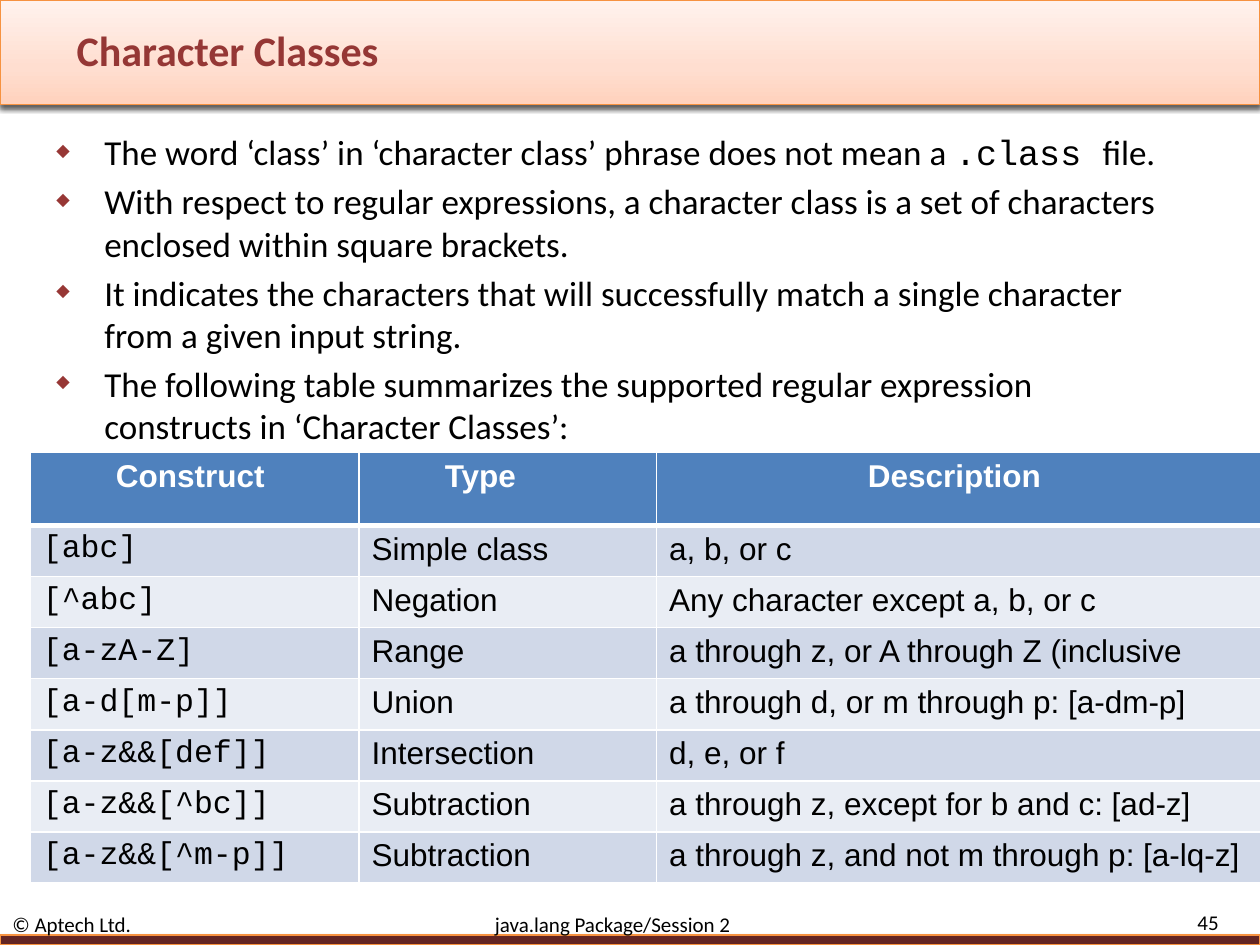
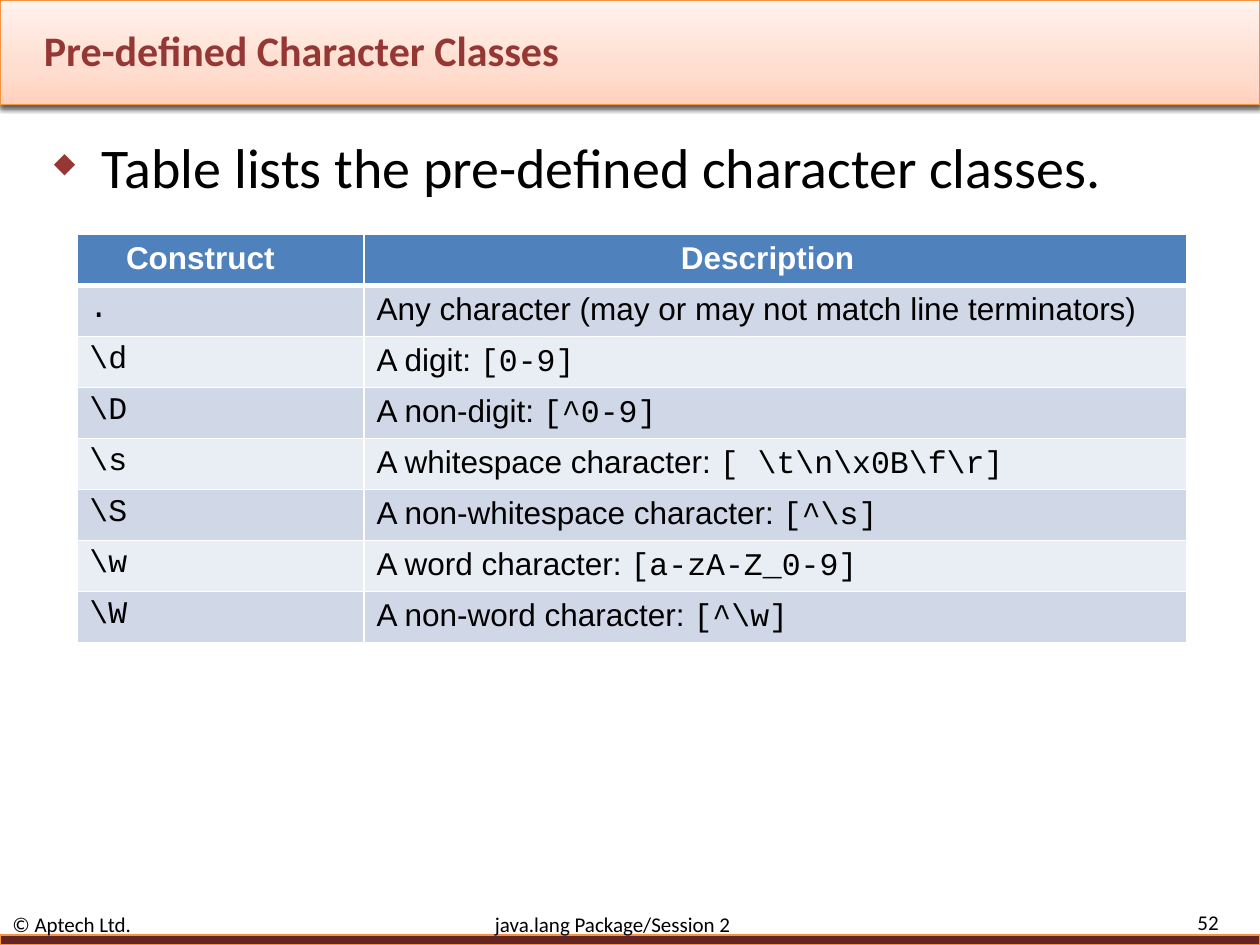
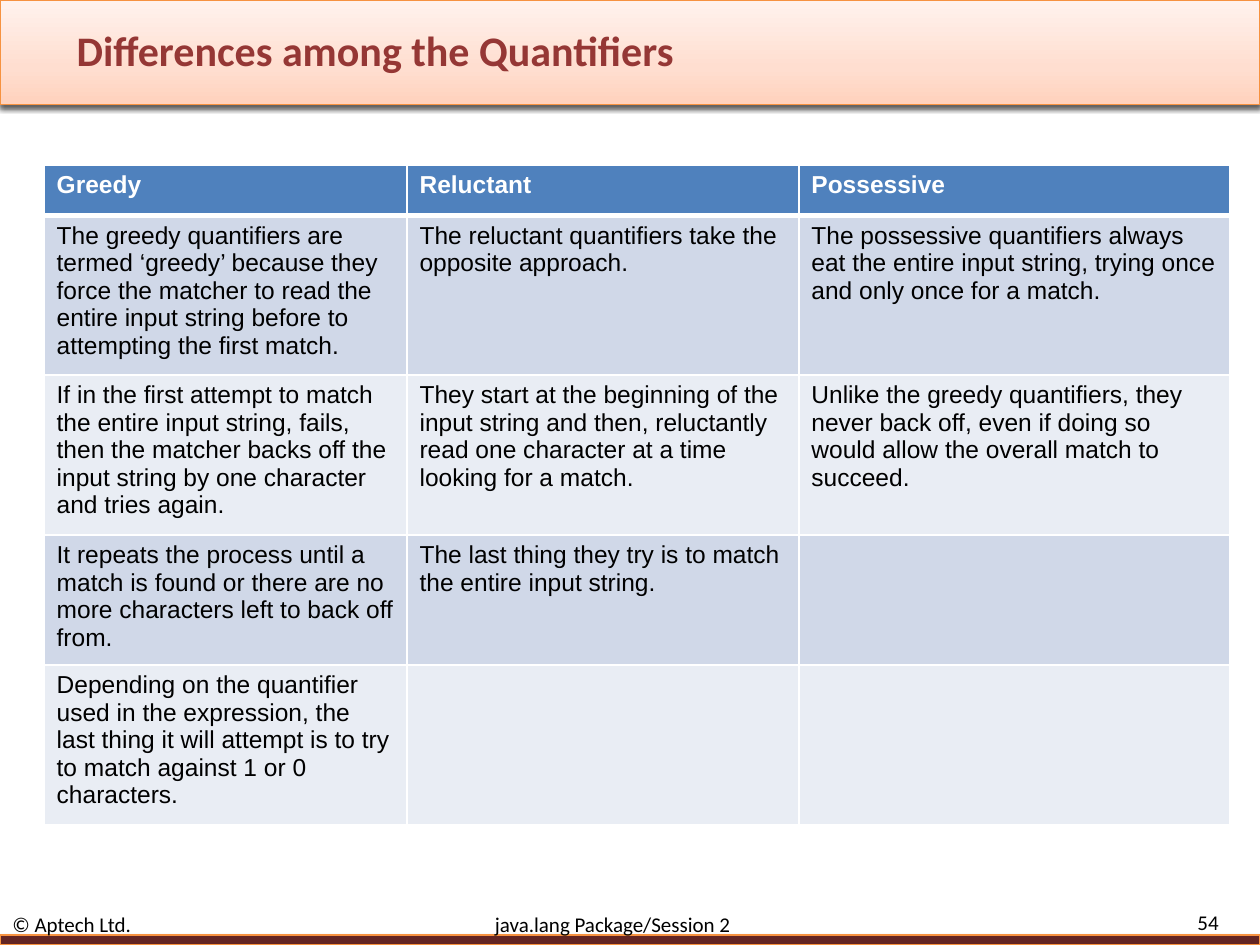
"""Build three slides on regular expression character classes and quantifiers."""
from dataclasses import dataclass

from pptx import Presentation
from pptx.dml.color import RGBColor
from pptx.enum.shapes import MSO_SHAPE
from pptx.enum.text import MSO_ANCHOR, PP_ALIGN
from pptx.oxml import parse_xml
from pptx.oxml.ns import nsdecls, qn
from pptx.util import Inches, Pt

RECTANGLE = MSO_SHAPE.RECTANGLE
TOP, MIDDLE = MSO_ANCHOR.TOP, MSO_ANCHOR.MIDDLE
LEFT, CENTER, RIGHT = PP_ALIGN.LEFT, PP_ALIGN.CENTER, PP_ALIGN.RIGHT

COLORS = {
    "text": "000000",
    "title": "953735",
    "bullet": "973735",
    "maroon": "632523",
    "band_line": "F69240",
    "white": "FFFFFF",
    "table_head": "4F81BD",
    "row_odd": "D0D8E8",
    "row_even": "E9EDF4",
}
BAND_GRADIENT = ((0, "FFD2BD"), (35, "FFDED0"), (100, "FFF2ED"))
BODY_FONT, TABLE_FONT, CODE_FONT = "Calibri", "Arial", "Courier New"
CODE_MARK = "`"
FOOTER = "© Aptech Ltd.\tjava.lang Package/Session 2"
FOOTER_TAB = 3.83
BULLET_INDENT = 0.38

Box = tuple[float, float, float, float]


@dataclass(frozen=True)
class Band:
    box: Box
    gradient: bool
    shadow_alpha: int
    shadow_distance: float


@dataclass(frozen=True)
class Grid:
    left: float
    top: float
    columns: list[float]
    heights: list[float]
    rows: list[tuple[str, ...]]
    size: int = 18
    head_align: PP_ALIGN = CENTER


@dataclass(frozen=True)
class Page:
    title: str
    title_left: float
    number: int
    grid: Grid
    bullets: tuple[str, ...] = ()
    bullets_box: Box = (0, 0, 0, 0)
    bullets_size: int = 20


HEADER_BAND = Band((0, 0, 10, 0.83), True, 38, 1.6)
BANDS = (HEADER_BAND, HEADER_BAND, Band((0, 7.42, 10, 0.08), False, 35, 1.8))

PAGES = (
    Page(
        "Character Classes", 0.51, 45,
        Grid(0.24, 3.59, [2.61, 2.36, 4.8], [0.58] + [2.84 / 7] * 7, [
            ("Construct ", "Type \t", "Description "),
            ("`[abc]`", "Simple class", "a, b, or c"),
            ("`[^abc]`", "Negation", "Any character except a, b, or c"),
            ("`[a-zA-Z]`", "Range", "a through z, or A through Z (inclusive"),
            ("`[a-d[m-p]]`", "Union", "a through d, or m through p: [a-dm-p]"),
            ("`[a-z&&[def]]`", "Intersection", "d, e, or f"),
            ("`[a-z&&[^bc]]`", "Subtraction", "a through z, except for b and c: [ad-z]"),
            ("`[a-z&&[^m-p]]`", "Subtraction", "a through z, and not m through p: [a-lq-z]"),
        ]),
        (
            "The word ‘class’ in ‘character class’ phrase does not mean a `.class `file.",
            "With respect to regular expressions, a character class is a set of characters "
            "enclosed within square brackets.",
            "It indicates the characters that will successfully match a single character "
            "from a given input string.",
            "The following table summarizes the supported regular expression constructs "
            "in ‘Character Classes’:",
        ),
        (0.35, 0.99, 9.13, 5.99),
    ),
    Page(
        "Pre-defined Character Classes", 0.25, 52,
        Grid(0.61, 1.86, [2.28, 6.53], [3.24 / 8] * 8, [
            ("Construct \t", "Description \t"),
            ("`.`", "Any character (may or may not match line terminators)"),
            (r"`\d`", "A digit: `[0-9]`"),
            (r"`\D`", "A non-digit: `[^0-9]`"),
            (r"`\s`", r"A whitespace character: `[ \t\n\x0B\f\r]`"),
            (r"`\S`", r"A non-whitespace character: `[^\s]`"),
            (r"`\w`", "A word character: `[a-zA-Z_0-9]`"),
            (r"`\W`", r"A non-word character: `[^\w]`"),
        ]),
        ("Table lists the pre-defined character classes.",),
        (0.33, 1, 9.42, 5.75),
        32,
    ),
    Page(
        "Differences among the Quantifiers", 0.51, 54,
        Grid(0.35, 1.31, [2.88, 3.11, 3.42], [0.4, 1.2, 1.2, 0.97, 1.2], [
            ("Greedy", "Reluctant", "Possessive"),
            (
                "The greedy quantifiers are termed ‘greedy’ because they force the matcher "
                "to read the entire input string before to attempting the first match.",
                "The reluctant quantifiers take the opposite approach.",
                "The possessive quantifiers always eat the entire input string, trying once "
                "and only once for a match.",
            ),
            (
                "If in the first attempt to match the entire input string, fails, then the "
                "matcher backs off the input string by one character and tries again.",
                "They start at the beginning of the input string and then, reluctantly read "
                "one character at a time looking for a match.",
                "Unlike the greedy quantifiers, they never back off, even if doing so would "
                "allow the overall match to succeed.",
            ),
            (
                "It repeats the process until a match is found or there are no more "
                "characters left to back off from.",
                "The last thing they try is to match the entire input string.",
                "",
            ),
            (
                "Depending on the quantifier used in the expression, the last thing it will "
                "attempt is to try to match against 1 or 0 characters.",
                "",
                "",
            ),
        ], 14, LEFT),
    ),
)


def rgb(name: str) -> RGBColor:
    """Return a named colour."""
    return RGBColor.from_string(COLORS[name])


def drawing(tag: str, attributes: str = "", inner: str = ""):
    """Return a DrawingML element."""
    return parse_xml(f"<a:{tag} {nsdecls('a')} {attributes}>{inner}</a:{tag}>")


def solid(color: str) -> str:
    """Return the XML of a solid fill."""
    return f'<a:solidFill><a:srgbClr val="{color}"/></a:solidFill>'


def write(frame, *paragraphs: str, size: int, color: str = "text", font: str = BODY_FONT,
          bold: bool = False, align: PP_ALIGN = LEFT, anchor: MSO_ANCHOR = TOP,
          bullet: bool = False, tab: float = 0, outline: str = "") -> None:
    """Fill a text frame, setting the parts between code marks in the code font."""
    frame.word_wrap = True
    frame.vertical_anchor = anchor
    for index, text in enumerate(paragraphs):
        paragraph = frame.add_paragraph() if index else frame.paragraphs[0]
        paragraph.alignment = align
        properties = paragraph._p.get_or_add_pPr()
        if bullet:
            indent = Inches(BULLET_INDENT)
            properties.set("marL", str(indent))
            properties.set("indent", str(-indent))
            properties.append(drawing("buClr", "", f'<a:srgbClr val="{COLORS["bullet"]}"/>'))
            properties.append(drawing("buSzPct", 'val="50000"'))
            properties.append(drawing("buChar", 'char="◆"'))
        if tab:
            stop = f'<a:tab pos="{Inches(tab)}" algn="l"/>'
            properties.append(drawing("tabLst", "", stop))
        if index:
            paragraph.space_before = Pt(size * 0.2)
        for part, piece in enumerate(text.split(CODE_MARK)):
            if not piece:
                continue
            run = paragraph.add_run()
            run.text = piece
            run.font.name = CODE_FONT if part % 2 else font
            run.font.size = Pt(size)
            run.font.bold = bold
            run.font.color.rgb = rgb(color)
            if outline:
                line = drawing("ln", f'w="{Pt(0.75)}"', solid(COLORS[outline]))
                run.font._element.insert(0, line)


def add_text(slide, box: Box, *paragraphs: str, **text_format) -> None:
    """Place a text box."""
    frame = slide.shapes.add_textbox(*map(Inches, box)).text_frame
    write(frame, *paragraphs, **text_format)


def add_band(slide, band: Band) -> None:
    """Draw a full-width band with a soft shadow below it."""
    strip = slide.shapes.add_shape(RECTANGLE, *map(Inches, band.box))
    strip.line.color.rgb = rgb("band_line")
    strip.line.width = Pt(0.75)
    properties = strip.element.spPr
    if band.gradient:
        strip.fill.gradient()
        strip.fill.gradient_angle = 90
        stops = "".join(f'<a:gs pos="{position * 1000}"><a:srgbClr val="{color}"/></a:gs>'
                        for position, color in BAND_GRADIENT)
        gradient = properties.find(qn("a:gradFill"))
        gradient.replace(gradient.find(qn("a:gsLst")), drawing("gsLst", "", stops))
    else:
        strip.fill.solid()
        strip.fill.fore_color.rgb = rgb("maroon")
    strip.shadow.inherit = False
    properties.find(qn("a:effectLst")).append(drawing(
        "outerShdw",
        f'blurRad="{Pt(3.1)}" dist="{Pt(band.shadow_distance)}" dir="5400000" rotWithShape="0"',
        f'<a:srgbClr val="000000"><a:alpha val="{band.shadow_alpha * 1000}"/></a:srgbClr>'))


def add_borders(cell, bottom: int) -> None:
    """Give a cell white borders, the bottom one in its own width."""
    properties = cell._tc.get_or_add_tcPr()
    widths = {"lnL": 1, "lnR": 1, "lnT": 1, "lnB": bottom}
    for position, (side, width) in enumerate(widths.items()):
        line = drawing(side, f'w="{Pt(width)}"', solid(COLORS["white"]))
        properties.insert(position, line)


def add_grid(slide, grid: Grid) -> None:
    """Draw a table with a blue head and banded rows."""
    table = slide.shapes.add_table(
        len(grid.rows), len(grid.columns), Inches(grid.left), Inches(grid.top),
        Inches(sum(grid.columns)), Inches(sum(grid.heights))).table
    for column, width in zip(table.columns, grid.columns):
        column.width = Inches(width)
    for index, (row, height, texts) in enumerate(zip(table.rows, grid.heights, grid.rows)):
        row.height = Inches(height)
        head = index == 0
        fill = "table_head" if head else "row_odd" if index % 2 else "row_even"
        for cell, text in zip(row.cells, texts):
            cell.fill.solid()
            cell.fill.fore_color.rgb = rgb(fill)
            add_borders(cell, 3 if head else 1)
            write(cell.text_frame, text, size=grid.size, font=TABLE_FONT, bold=head,
                  color="white" if head else "text",
                  align=grid.head_align if head else LEFT)


def add_page(deck, page: Page) -> None:
    """Build one slide."""
    slide = deck.slides.add_slide(deck.slide_layouts[6])
    for band in BANDS:
        add_band(slide, band)
    if page.bullets:
        add_text(slide, page.bullets_box, *page.bullets, size=page.bullets_size, bullet=True)
    add_text(slide, (page.title_left, 0.17, 8.58 - page.title_left, 0.45), page.title,
             size=24, color="title", bold=True, anchor=MIDDLE, outline="maroon")
    add_text(slide, (0, 7.25, 8.83, 0.17), FOOTER, size=12, anchor=MIDDLE, tab=FOOTER_TAB)
    add_text(slide, (8.92, 7.23, 0.85, 0.18), str(page.number),
             size=12, align=RIGHT, anchor=MIDDLE)
    add_grid(slide, page.grid)


def main() -> None:
    """Build and save the deck."""
    deck = Presentation()
    deck.slide_width, deck.slide_height = Inches(10), Inches(7.5)
    for page in PAGES:
        add_page(deck, page)
    deck.save("out.pptx")


if __name__ == "__main__":
    main()
